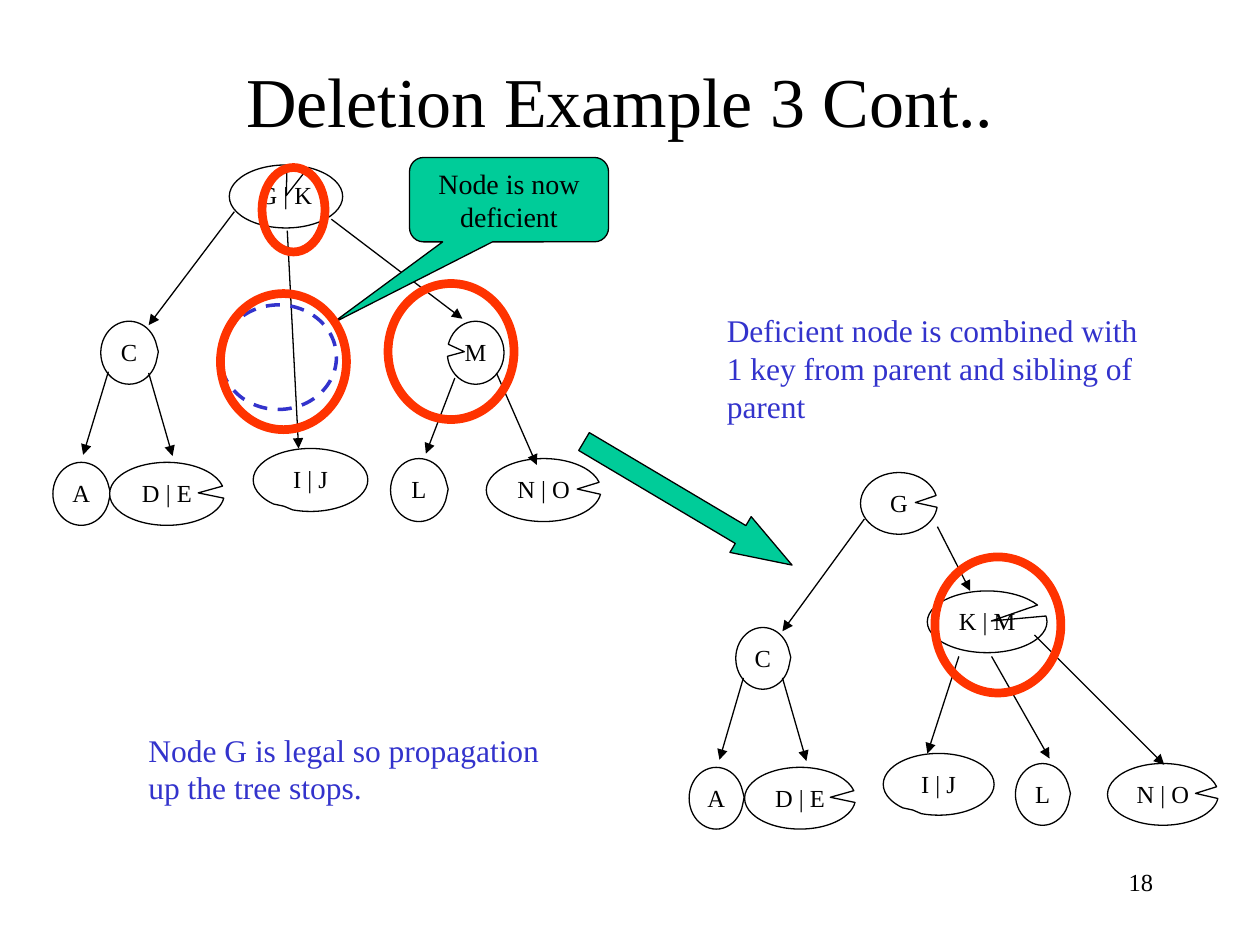
from lxml.etree import SubElement
from pptx import Presentation
from pptx.dml.color import RGBColor
from pptx.enum.dml import MSO_LINE_DASH_STYLE as Dash
from pptx.enum.shapes import MSO_CONNECTOR, MSO_SHAPE as Shape
from pptx.enum.text import MSO_ANCHOR as Anchor, PP_ALIGN as Align
from pptx.oxml.ns import qn
from pptx.util import Inches, Pt

COLORS = {"black": "000000", "white": "FFFFFF", "blue": "3333CC",
          "green": "00CC99", "red": "FF3300"}

# Callout tip of each node, as a share of its size from its centre
SMALL_TIP = (0.515, -0.016)
TIPS = {"G | K": (0.003, -0.014), "G": (0.214, -0.014), "M": (-0.199, -0.016),
        "K | M": (0.035, -0.014), "D | E": (0.273, -0.015),
        "N | O": (0.293, -0.017), "I | J": (-0.233, 0.416)}

# Nodes: label, left, top, width; edges: start x, y, end x, y
BEFORE_HEIGHT = 0.5
BEFORE_NODES = [
    ("G | K", 1.82, 1.31, 0.9), ("C", 0.8, 2.55, 0.45), ("M", 3.55, 2.55, 0.45),
    ("A", 0.42, 3.67, 0.45), ("D | E", 0.87, 3.67, 0.91),
    ("I | J", 2.01, 3.56, 0.91), ("L", 3.1, 3.64, 0.45),
    ("N | O", 3.86, 3.64, 0.91),
]
BEFORE_EDGES = [
    (1.86, 1.68, 1.18, 2.58), (2.28, 1.83, 2.37, 3.56), (2.63, 1.74, 3.67, 2.53),
    (0.86, 2.95, 0.66, 3.61), (1.18, 2.96, 1.37, 3.62),
    (3.61, 3, 3.38, 3.6), (3.94, 2.96, 4.26, 3.69),
]
AFTER_HEIGHT = 0.49
AFTER_NODES = [
    ("G", 6.83, 3.75, 0.61), ("C", 5.84, 4.98, 0.43), ("K | M", 7.36, 4.69, 0.95),
    ("A", 5.47, 6.09, 0.43), ("D | E", 5.91, 6.09, 0.88),
    ("I | J", 7.01, 5.98, 0.88), ("L", 8.06, 6.06, 0.43),
    ("N | O", 8.79, 6.06, 0.88),
]
AFTER_EDGES = [
    (6.86, 4.12, 6.21, 5.01), (7.44, 4.18, 7.7, 4.69),
    (5.9, 5.38, 5.71, 6.03), (6.21, 5.38, 6.4, 6.04),
    (7.61, 5.21, 7.36, 5.98), (7.87, 5.21, 8.33, 6.02), (8.21, 5.04, 9.24, 6.07),
]


class SlideBuilder:
    font = "Times New Roman"
    thin = 0.75

    def __init__(self, slide):
        self.slide = slide

    def color(self, name):
        return RGBColor.from_string(COLORS[name])

    def label(self, shape, text, size, color="black", align=Align.LEFT,
              anchor=Anchor.TOP, wrap=True):
        frame = shape.text_frame
        frame.word_wrap = wrap
        frame.vertical_anchor = anchor
        paragraph = frame.paragraphs[0]
        paragraph.alignment = align
        run = paragraph.add_run()
        run.text = text
        run.font.name = self.font
        run.font.size = Pt(size)
        run.font.color.rgb = self.color(color)

    def text(self, box, text, size, **style):
        shape = self.slide.shapes.add_textbox(*map(Inches, box))
        self.label(shape, text, size, **style)

    def shape(self, kind, box, fill=None, line="black", width=thin, adjust=()):
        shape = self.slide.shapes.add_shape(kind, *map(Inches, box))
        shape.shadow.inherit = False
        if fill:
            shape.fill.solid()
            shape.fill.fore_color.rgb = self.color(fill)
        else:
            shape.fill.background()
        shape.line.color.rgb = self.color(line)
        shape.line.width = Pt(width)
        for index, value in enumerate(adjust):
            shape.adjustments[index] = value
        return shape

    def node(self, name, left, top, width, height):
        shape = self.shape(Shape.OVAL_CALLOUT, (left, top, width, height), "white",
                           adjust=TIPS.get(name, SMALL_TIP))
        self.label(shape, name, 14, align=Align.CENTER, wrap=False)

    def edge(self, *ends):
        connector = self.slide.shapes.add_connector(
            MSO_CONNECTOR.STRAIGHT, *map(Inches, ends))
        connector.line.color.rgb = self.color("black")
        connector.line.width = Pt(self.thin)
        properties = connector._element.spPr
        SubElement(properties.find(qn("a:ln")), qn("a:tailEnd"), type="triangle")
        SubElement(properties, qn("a:effectLst"))

    def tree(self, nodes, edges, height):
        for node in nodes:
            self.node(*node, height)
        for edge in edges:
            self.edge(*edge)

    def ring(self, *box):
        self.shape(Shape.OVAL, box, line="red", width=5)


def main():
    presentation = Presentation()
    presentation.slide_width = Inches(10)
    presentation.slide_height = Inches(7.5)
    builder = SlideBuilder(
        presentation.slides.add_slide(presentation.slide_layouts[6]))

    # Slide number and title
    builder.text((7.17, 6.83, 2.08, 0.5), "18", 14, align=Align.RIGHT)
    builder.text((0.67, 0.5, 8.5, 0.58), "Deletion Example 3 Cont..", 40,
                 align=Align.CENTER, anchor=Anchor.MIDDLE)

    # Tree before combining, with its deficient node
    builder.tree(BEFORE_NODES, BEFORE_EDGES, BEFORE_HEIGHT)
    deficient = builder.shape(Shape.OVAL, (1.75, 2.42, 0.92, 0.83),
                              line="blue", width=2)
    deficient.line.dash_style = Dash.DASH
    callout = builder.shape(Shape.ROUNDED_RECTANGULAR_CALLOUT,
                            (3.25, 1.25, 1.58, 0.67), "green",
                            adjust=(-0.891, 1.469, 0.167))
    builder.label(callout, "Node is now deficient", 16, align=Align.CENTER,
                  anchor=Anchor.MIDDLE)

    # Tree after combining
    builder.tree(AFTER_NODES, AFTER_EDGES, AFTER_HEIGHT)

    # Rings around the combined parts and the result
    builder.ring(1.75, 2.33, 1, 1.08)
    builder.ring(3.08, 2.25, 1, 1.08)
    builder.ring(2.08, 1.33, 0.5, 0.67)
    builder.ring(7.42, 4.42, 1, 1.08)

    # Arrow from the first tree to the second
    arrow = builder.shape(Shape.RIGHT_ARROW, (4.5, 3.83, 1.92, 0.33), "green",
                          adjust=(0.5, 1.439))
    arrow.rotation = 30.7

    # Explanations
    builder.text((5.67, 2.42, 3.5, 1), "Deficient node is combined with 1 key "
                 "from parent and sibling of parent", 18, color="blue")
    builder.text((1.08, 5.75, 3.5, 0.7), "Node G is legal so propagation up the "
                 "tree stops.", 18, color="blue")

    presentation.save("out.pptx")


if __name__ == "__main__":
    main()
